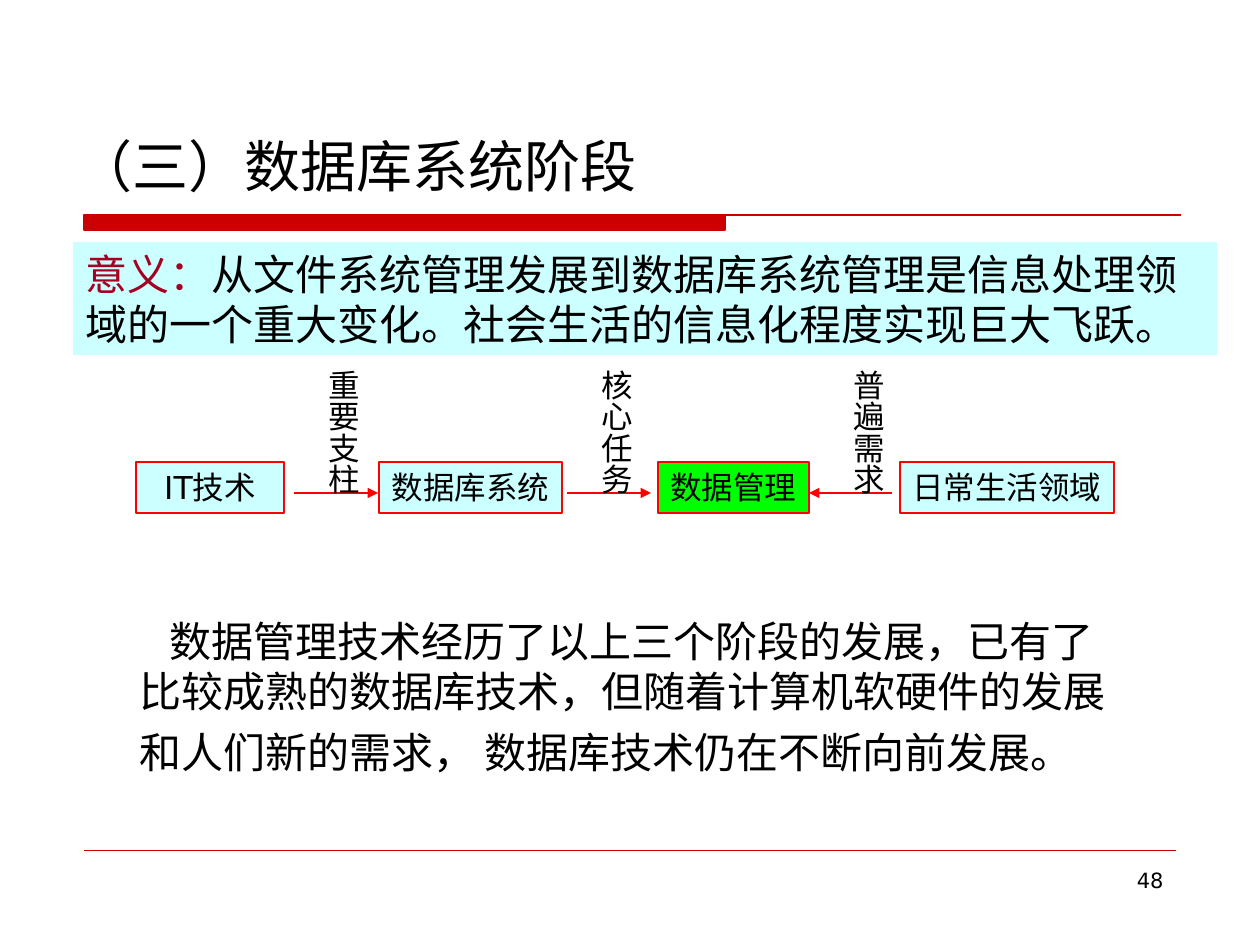
"""Build the slide on the meaning of the database system stage."""
import lxml.etree
import pptx
import pptx.dml.color
import pptx.enum.shapes
import pptx.enum.text
import pptx.oxml.ns
import pptx.util

PX = 914400 / 126
BLACK = pptx.dml.color.RGBColor(0x00, 0x00, 0x00)
CRIMSON = pptx.dml.color.RGBColor(0xCC, 0x00, 0x00)
MAROON = pptx.dml.color.RGBColor(0xA5, 0x00, 0x21)
RED = pptx.dml.color.RGBColor(0xFF, 0x00, 0x00)
GREEN = pptx.dml.color.RGBColor(0x00, 0xFF, 0x00)
PALE = pptx.dml.color.RGBColor(0xCC, 0xFF, 0xFF)
ALIGN = pptx.enum.text.PP_ALIGN

deck = pptx.Presentation()
deck.slide_width = pptx.util.Inches(10)
deck.slide_height = pptx.util.Inches(7.5)
page = deck.slides.add_slide(deck.slide_layouts[6])


def add_box(place, words, size, fill=None, line=None, align=ALIGN.LEFT, font="DejaVu Sans", wrap=True):
    left, top, width, height = (pptx.util.Emu(round(n * PX)) for n in place)
    if fill is None:
        box = page.shapes.add_textbox(left, top, width, height)
    else:
        box = page.shapes.add_shape(pptx.enum.shapes.MSO_SHAPE.RECTANGLE, left, top, width, height)
        box.shadow.inherit = False
        box.fill.solid()
        box.fill.fore_color.rgb = fill
        if line is None:
            box.line.fill.background()
        else:
            box.line.color.rgb = line
            box.line.width = pptx.util.Pt(0.75)
    frame = box.text_frame
    frame.word_wrap = wrap
    frame.vertical_anchor = pptx.enum.text.MSO_ANCHOR.TOP
    para = frame.paragraphs[0]
    para.alignment = align
    para.font.name = font
    para.font.size = pptx.util.Pt(size)
    para.font.color.rgb = BLACK
    if words:
        para.add_run().text = words
    return box


def add_line(start, end, y, color, width, arrow=False):
    x1, x2, level = (pptx.util.Emu(round(n * PX)) for n in (start, end, y))
    line = page.shapes.add_connector(pptx.enum.shapes.MSO_CONNECTOR.STRAIGHT, x1, level, x2, level)
    line.line.color.rgb = color
    line.line.width = pptx.util.Pt(width)
    if arrow:
        outline = line.line._get_or_add_ln()
        lxml.etree.SubElement(outline, pptx.oxml.ns.qn("a:tailEnd"), type="triangle")
    lxml.etree.SubElement(line._element.spPr, pptx.oxml.ns.qn("a:effectLst"))


add_box((84, 215, 641, 15), "", 12, CRIMSON, CRIMSON)
add_line(84, 1181, 215, CRIMSON, 0.75)
add_line(84, 1176, 850, CRIMSON, 0.25)
add_box((903, 861, 273, 66), "48", 12, align=ALIGN.RIGHT)
add_box((64, 125, 1071, 81), "（三）数据库系统阶段", 32, font="Times New Roman")

meaning = add_box((73, 242, 1144, 113), "意义：", 24, PALE)
para = meaning.text_frame.paragraphs[0]
para.runs[0].font.color.rgb = MAROON
span = para.add_run()
span.text = "从文件系统管理发展到数据库系统管理是信息处理领域的一个重大变化。社会生活的信息化程度实现巨大飞跃。"

for left, width, words, fill in (
    (136, 148, "IT技术", PALE),
    (379, 183, "数据库系统", PALE),
    (658, 151, "数据管理", GREEN),
    (900, 214, "日常生活领域", PALE),
):
    add_box((left, 462, width, 51), words, 18, fill, RED, ALIGN.CENTER, wrap=False)

for start, end, left, words in (
    (294, 378, 305, "重要支柱"),
    (567, 651, 578, "核心任务"),
    (892, 809, 830, "普遍需求"),
):
    add_line(start, end, 493, RED, 0.75, arrow=True)
    label = add_box((left, 357, 63, 139), words, 18, wrap=False)
    frame = label.text_frame
    frame.auto_size = pptx.enum.text.MSO_AUTO_SIZE.SHAPE_TO_FIT_TEXT
    frame.margin_left = frame.margin_right = pptx.util.Inches(0.05)
    frame.margin_top = frame.margin_bottom = pptx.util.Inches(0.1)
    frame._txBody.bodyPr.set("vert", "eaVert")

summary = add_box(
    (63, 609, 1071, 179),
    "数据管理技术经历了以上三个阶段的发展，已有了比较成熟的数据库技术，但随着计算机软硬件的发展和人们新的需求， 数据库技术仍在不断向前发展。",
    24,
)
para = summary.text_frame.paragraphs[0]
span = para.add_run()
span.text = " "
span.font.size = pptx.util.Pt(30)
properties = para._p.get_or_add_pPr()
properties.set("marL", str(round(64 * PX)))
properties.set("indent", str(round(30 * PX)))

deck.save("out.pptx")
